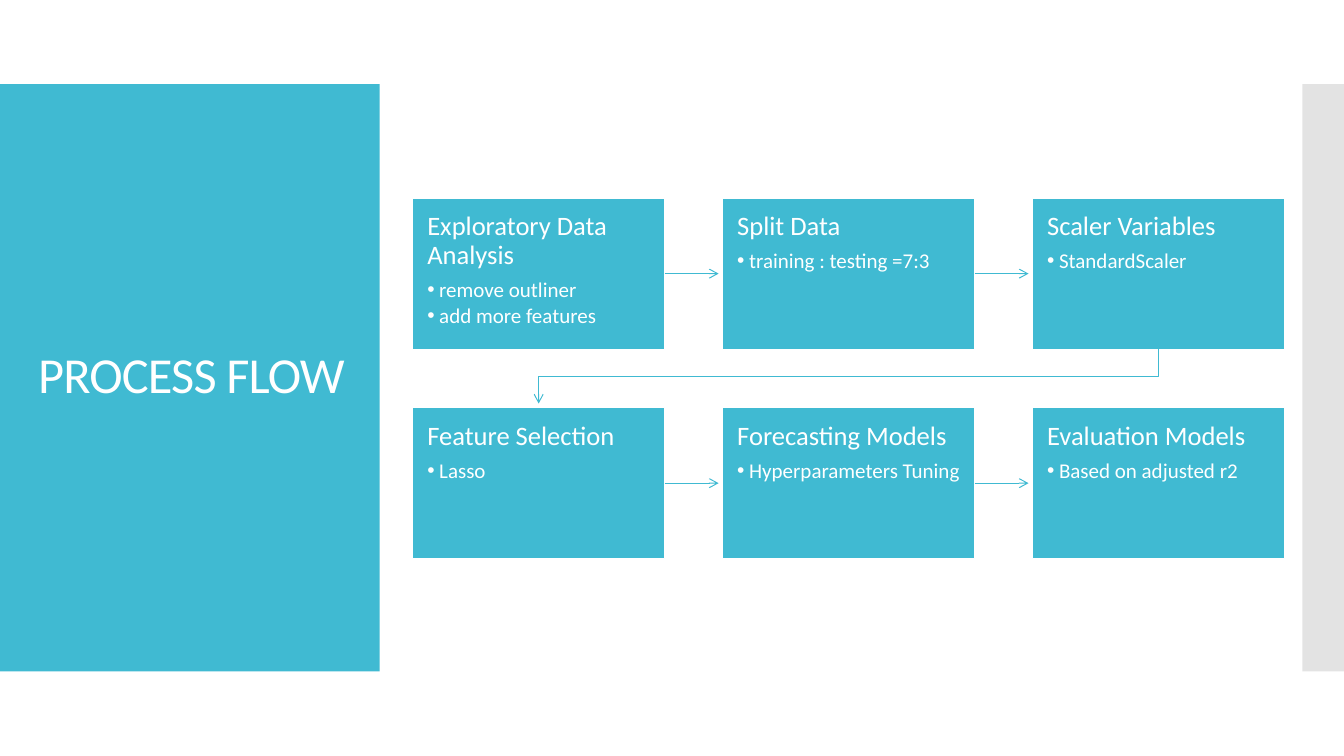
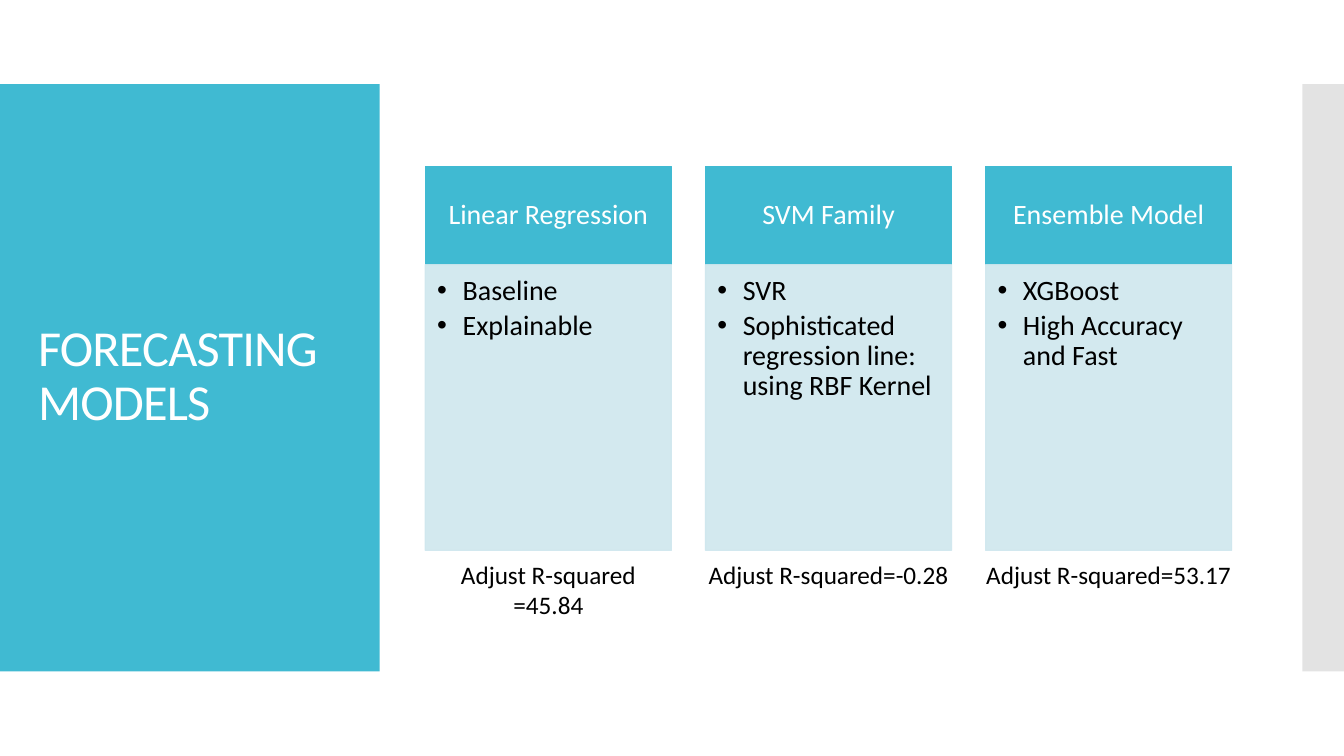
from pptx import Presentation
from pptx.dml.color import RGBColor
from pptx.enum.shapes import MSO_CONNECTOR, MSO_SHAPE
from pptx.enum.text import MSO_ANCHOR, PP_ALIGN
from pptx.oxml.ns import qn
from pptx.util import Cm, Pt
from lxml import etree

COLORS = {"teal": "40BAD2", "pale": "CFE7EE", "gray": "C8C8C8",
          "white": "FFFFFF", "black": "000000"}
FONT = "Calibri"


def add_box(slide, x, y, w, h, fill, line=None, alpha=100):
    """Add a flat rectangle, measured in centimetres."""
    sp = slide.shapes.add_shape(MSO_SHAPE.RECTANGLE, Cm(x), Cm(y), Cm(w), Cm(h))
    sp.shadow.inherit = False
    sp.fill.solid()
    sp.fill.fore_color.rgb = RGBColor.from_string(COLORS[fill])
    if line:
        sp.line.color.rgb = RGBColor.from_string(COLORS[line])
        sp.line.width = Pt(0.85)
    else:
        sp.line.fill.background()
    if alpha < 100:
        for clr in sp._element.spPr.iter(qn("a:srgbClr")):
            etree.SubElement(clr, qn("a:alpha")).set("val", str(alpha * 1000))
    return sp


def write(sp, lines, color, margins, anchor=MSO_ANCHOR.TOP, align=PP_ALIGN.LEFT,
          spacing=0.9, wrap=True):
    """Fill a shape with (text, size, bullet indent in cm) lines."""
    tf = sp.text_frame
    tf.word_wrap = wrap
    tf.vertical_anchor = anchor
    tf.margin_left, tf.margin_top, tf.margin_right, tf.margin_bottom = map(Cm, margins)
    for i, (text, size, indent) in enumerate(lines):
        p = tf.add_paragraph() if i else tf.paragraphs[0]
        p.text = text
        p.alignment = align
        p.line_spacing = spacing
        p.space_after = Pt(size * (0.15 if indent else 0.35))
        if indent:
            pPr = p._p.get_or_add_pPr()
            pPr.set("marL", str(Cm(indent)))
            pPr.set("indent", str(-Cm(indent)))
            etree.SubElement(pPr, qn("a:buFont")).set("typeface", "Arial")
            etree.SubElement(pPr, qn("a:buChar")).set("char", "•")
        for r in p.runs:
            r.font.name = FONT
            r.font.size = Pt(size)
            r.font.color.rgb = RGBColor.from_string(COLORS[color])


prs = Presentation()
prs.slide_width, prs.slide_height = Cm(33.87), Cm(19.05)

# Shared frame: title panel, right band, title
slides = []
for title in ("PROCESS FLOW", "FORECASTING MODELS"):
    s = prs.slides.add_slide(prs.slide_layouts[6])
    add_box(s, 0, 2.12, 9.57, 14.8, "teal")
    add_box(s, 32.82, 2.12, 1.05, 14.8, "gray", alpha=50)
    tb = s.shapes.add_textbox(Cm(0.71), Cm(3.12), Cm(8.5), Cm(12.78))
    write(tb, [(title, 36, 0)], "white", (0.25, 0.13, 0.25, 0.13), MSO_ANCHOR.MIDDLE)
    tb.text_frame.paragraphs[0].runs[0].font._element.set("spc", "-60")
    slides.append(s)
flow, models = slides

# Process steps on a grid of three columns
steps = [
    ("Exploratory Data Analysis", ["remove outliner", "add more features"]),
    ("Split Data", ["training : testing =7:3"]),
    ("Scaler Variables", ["StandardScaler"]),
    ("Feature Selection", ["Lasso"]),
    ("Forecasting Models", ["Hyperparameters Tuning"]),
    ("Evaluation Models", ["Based on adjusted r2"]),
]
cols, step_w, step_h = 3, 6.35, 3.81
boxes = []
for i, (head, points) in enumerate(steps):
    row, col = divmod(i, cols)
    sp = add_box(flow, 10.4 + col * 7.81, 4.99 + row * 5.28, step_w, step_h,
                 "teal", "white")
    write(sp, [(head, 19, 0)] + [(t, 15, 0.3) for t in points], "white", (0.37,) * 4)
    boxes.append(sp)

# Arrows between steps, stopping just short of the next box
gap = Cm(0.1)
for i, (a, b) in enumerate(zip(boxes, boxes[1:])):
    if (i + 1) % cols:
        y = a.top + a.height // 2
        cxn = flow.shapes.add_connector(MSO_CONNECTOR.STRAIGHT, a.left + a.width, y,
                                        b.left - gap, y)
        cxn.begin_connect(a, 3)
    else:
        # Row change: an elbow turned by 90 degrees, so it leaves downwards
        x1, y1 = a.left + a.width // 2, a.top + a.height
        x2, y2 = b.left + b.width // 2, b.top - gap
        run, drop = x1 - x2, y2 - y1
        left, top = (x1 + x2 - drop) // 2, (y1 + y2 - run) // 2
        cxn = flow.shapes.add_connector(MSO_CONNECTOR.ELBOW, left, top,
                                        left + drop, top + run)
        cxn._element.spPr.find(qn("a:xfrm")).set("rot", "5400000")
    cxn.line.color.rgb = RGBColor.from_string(COLORS["teal"])
    cxn.line.width = Pt(0.75)
    etree.SubElement(cxn.line._get_or_add_ln(), qn("a:tailEnd")).set("type", "arrow")
    etree.SubElement(cxn._element.spPr, qn("a:effectLst"))

# Model columns: header, points, score
columns = [
    ("Linear Regression", ["Baseline", "Explainable"], "Adjust R-squared =45.84"),
    ("SVM Family", ["SVR", "Sophisticated regression line: using RBF Kernel"],
     "Adjust R-squared=-0.28"),
    ("Ensemble Model", ["XGBoost", "High Accuracy and Fast"],
     "Adjust R-squared=53.17"),
]
col_w = 6.2
for i, (head, points, score) in enumerate(columns):
    x = 10.72 + i * 7.06
    sp = add_box(models, x, 4.19, col_w, 2.48, "teal", "teal")
    write(sp, [(head, 20, 0)], "white", (0.4, 0.23, 0.4, 0.23),
          MSO_ANCHOR.MIDDLE, PP_ALIGN.CENTER)
    sp = add_box(models, x, 6.67, col_w, 7.2, "pale", "pale", alpha=90)
    write(sp, [(t, 20, 0.64) for t in points], "black", (0.3, 0.3, 0.4, 0.43))
    tb = models.shapes.add_textbox(Cm(x - 0.3), Cm(13.96), Cm(col_w + 0.6), Cm(1.02))
    write(tb, [(score, 18, 0)], "black", (0.25, 0.13, 0.25, 0.13),
          align=PP_ALIGN.CENTER, spacing=1.0, wrap=False)

prs.save("out.pptx")
